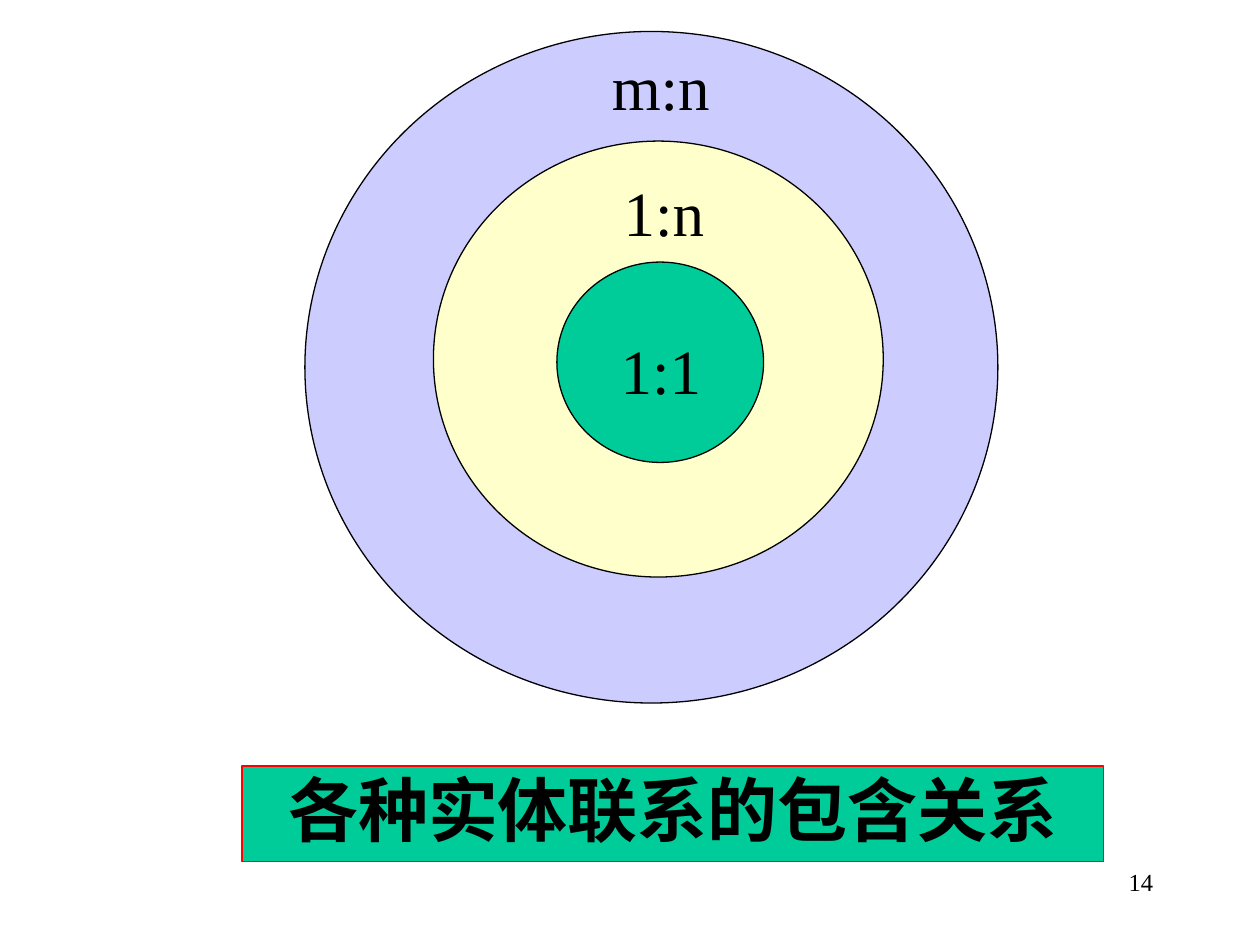
from pptx import Presentation
from pptx.dml.color import RGBColor
from pptx.enum.shapes import MSO_SHAPE as Shape
from pptx.enum.text import MSO_ANCHOR as Anchor, PP_ALIGN as Align
from pptx.util import Inches, Pt

BLACK = RGBColor(0x00, 0x00, 0x00)
RED = RGBColor(0xFF, 0x00, 0x00)
LAVENDER = RGBColor(0xCC, 0xCC, 0xFF)
CREAM = RGBColor(0xFF, 0xFF, 0xCC)
GREEN = RGBColor(0x00, 0xCC, 0x99)
FONT = "Times New Roman"

RINGS = [
    ((2.42, 0.25, 5.5, 5.33), LAVENDER),
    ((3.44, 1.12, 3.57, 3.46), CREAM),
    ((4.42, 2.08, 1.64, 1.59), GREEN),
]
LABELS = [
    ("1:1", (4.58, 2.58, 1.33, 0.7)),
    ("1:n", (4.67, 1.33, 1.2, 0.7)),
    ("m:n", (4.58, 0.33, 1.33, 0.7)),
]


def write(sp, text, size, align=Align.CENTER, bold=False):
    tf = sp.text_frame
    tf.word_wrap = True
    p = tf.paragraphs[0]
    p.text = text
    p.alignment = align
    p.font.name = FONT
    p.font.size = Pt(size)
    p.font.bold = bold
    p.font.color.rgb = BLACK
    return p


def add_filled(slide, kind, box, fill, line):
    sp = slide.shapes.add_shape(kind, *map(Inches, box))
    sp.shadow.inherit = False
    sp.fill.solid()
    sp.fill.fore_color.rgb = fill
    sp.line.color.rgb = line
    sp.line.width = Pt(0.75)
    return sp


def add_text(slide, text, box, size, align=Align.CENTER):
    sp = slide.shapes.add_textbox(*map(Inches, box))
    write(sp, text, size, align)


def add_banner(slide, text, box):
    sp = add_filled(slide, Shape.RECTANGLE, box, GREEN, RED)
    sp.text_frame.vertical_anchor = Anchor.MIDDLE
    p = write(sp, text, 40, bold=True)
    p.line_spacing = 0.9


def main():
    prs = Presentation()
    prs.slide_width = Inches(10)
    prs.slide_height = Inches(7.5)
    slide = prs.slides.add_slide(prs.slide_layouts[6])
    add_text(slide, "14", (7.17, 6.83, 2.08, 0.5), 14, Align.RIGHT)
    for box, fill in RINGS:
        add_filled(slide, Shape.OVAL, box, fill, BLACK)
    for text, box in LABELS:
        add_text(slide, text, box, 36)
    add_banner(slide, "各种实体联系的包含关系", (1.92, 6.08, 6.84, 0.76))
    prs.save("out.pptx")


if __name__ == "__main__":
    main()
